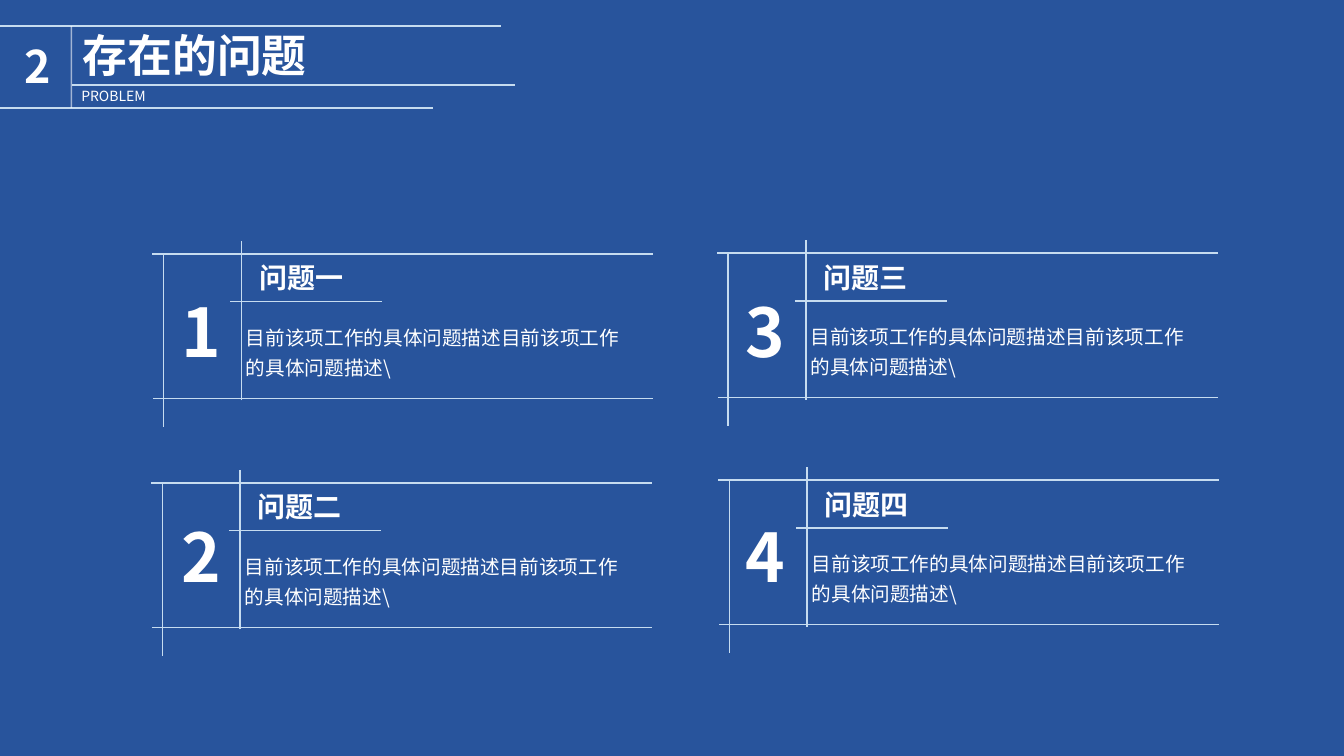
from dataclasses import dataclass

from lxml.etree import SubElement
from pptx import Presentation
from pptx.dml.color import RGBColor
from pptx.enum.shapes import MSO_CONNECTOR
from pptx.enum.text import MSO_ANCHOR, MSO_AUTO_SIZE, PP_ALIGN
from pptx.oxml.ns import qn
from pptx.util import Cm, Pt

COLOURS = {"background": "28549C", "line": "C6DCF0", "white": "FFFFFF"}
FONT = "Noto Sans CJK SC"
DESCRIPTION = "目前该项工作的具体问题描述目前该项工作的具体问题描述\\"


@dataclass(frozen=True)
class Segment:
    """A straight line; lengths in centimetres."""
    x1: float
    y1: float
    x2: float
    y2: float


@dataclass(frozen=True)
class Style:
    size: int
    bold: bool = False
    align: PP_ALIGN = PP_ALIGN.LEFT
    line_spacing: float = 1.0
    wrap: bool = True


@dataclass(frozen=True)
class Problem:
    number: str
    heading: str
    left: float
    top: float
    number_left: float
    number_top: float


TITLE = Style(32, bold=True, wrap=False)
SECTION = Style(32, bold=True)
SUBTITLE = Style(10, wrap=False)
NUMBER = Style(48, bold=True, wrap=False)
HEADING = Style(20, bold=True, align=PP_ALIGN.RIGHT)
BODY = Style(14, line_spacing=1.3)

HEADER_LINES = [
    Segment(0, 0.66, 12.62, 0.66),
    Segment(0, 2.72, 10.92, 2.72),
    Segment(1.82, 2.14, 12.98, 2.14),
]
HEADER_DIVIDER = Segment(1.8, 0.66, 1.8, 2.72)

# Relative to the top left corner of a problem panel
PANEL_LINES = [
    Segment(0, 0, 12.62, 0),
    Segment(0.02, 3.64, 12.62, 3.64),
    Segment(0.28, 0, 0.28, 4.35),
    Segment(2.24, 3.69, 2.24, -0.33),
    Segment(1.96, 1.2, 5.79, 1.2),
]

PROBLEMS = [
    Problem("1", "问题一", 3.84, 6.4, 4.32, 7.19),
    Problem("2", "问题二", 3.81, 12.17, 4.32, 12.85),
    Problem("3", "问题三", 18.07, 6.38, 18.53, 7.19),
    Problem("4", "问题四", 18.1, 12.1, 18.53, 12.85),
]


def colour(name: str) -> RGBColor:
    return RGBColor.from_string(COLOURS[name])


def write_text(box, text: str, style: Style) -> None:
    frame = box.text_frame
    frame.word_wrap = style.wrap
    frame.auto_size = MSO_AUTO_SIZE.SHAPE_TO_FIT_TEXT
    frame.vertical_anchor = MSO_ANCHOR.TOP
    para = frame.paragraphs[0]
    para.alignment = style.align
    para.line_spacing = style.line_spacing
    span = para.add_run()
    span.text = text
    span.font.size = Pt(style.size)
    span.font.bold = style.bold
    span.font.color.rgb = colour("white")
    span.font.name = FONT
    SubElement(span.font._element, qn("a:ea"), typeface=FONT)


def place(box, left: float, top: float, width: float, height: float) -> None:
    box.left, box.top = Cm(left), Cm(top)
    box.width, box.height = Cm(width), Cm(height)


def add_text(shapes, text: str, style: Style, left: float, top: float,
             width: float, height: float) -> None:
    box = shapes.add_textbox(Cm(left), Cm(top), Cm(width), Cm(height))
    write_text(box, text, style)


def add_line(shapes, segment: Segment, left: float = 0, top: float = 0,
             colour_name: str = "line"):
    line = shapes.add_connector(
        MSO_CONNECTOR.STRAIGHT,
        Cm(left + segment.x1), Cm(top + segment.y1),
        Cm(left + segment.x2), Cm(top + segment.y2))
    line.line.color.rgb = colour(colour_name)
    line.line.width = Pt(1)
    SubElement(line._element.spPr, qn("a:effectLst"))
    return line


def add_header(page) -> None:
    title = page.shapes.title
    place(title, 1.83, 0.56, 6.22, 1.63)
    write_text(title, "存在的问题", TITLE)
    add_text(page.shapes, "2", SECTION, 0.36, 0.84, 1.12, 1.63)
    add_text(page.shapes, "PROBLEM", SUBTITLE, 1.8, 2.08, 2.29, 0.71)
    for segment in HEADER_LINES:
        add_line(page.shapes, segment)
    divider = add_line(page.shapes, HEADER_DIVIDER, colour_name="white")
    tint = divider._element.spPr.find(".//" + qn("a:srgbClr"))
    SubElement(tint, qn("a:alpha"), val="56000")


def add_problem(page, problem: Problem) -> None:
    shapes = page.shapes.add_group_shape().shapes
    left, top = problem.left, problem.top
    for segment in PANEL_LINES:
        add_line(shapes, segment, left, top)
    add_text(shapes, problem.heading, HEADING, left + 1.12, top + 0.05, 3.94, 1.12)
    add_text(shapes, DESCRIPTION, BODY, left + 2.11, top + 1.5, 10.16, 1.8)
    add_text(shapes, problem.number, NUMBER,
             problem.number_left, problem.number_top, 1.57, 2.31)


def main() -> None:
    deck = Presentation()
    deck.slide_width, deck.slide_height = Cm(33.87), Cm(19.05)
    page = deck.slides.add_slide(deck.slide_layouts.get_by_name("Title Only"))
    page.background.fill.solid()
    page.background.fill.fore_color.rgb = colour("background")
    add_header(page)
    for problem in PROBLEMS:
        add_problem(page, problem)
    deck.save("out.pptx")


if __name__ == "__main__":
    main()
